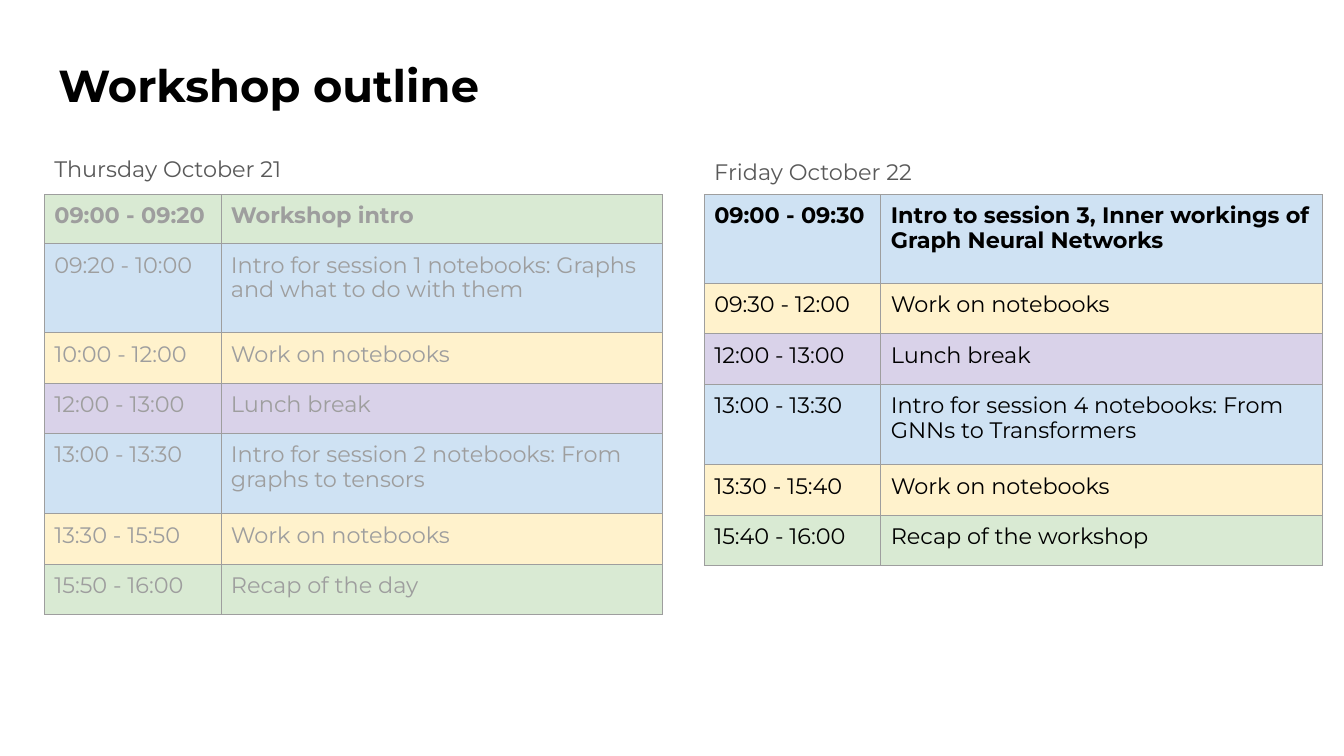
from dataclasses import dataclass

from lxml import etree
from pptx import Presentation
from pptx.dml.color import RGBColor
from pptx.enum.text import MSO_ANCHOR
from pptx.oxml.ns import qn
from pptx.slide import Slide
from pptx.table import _Cell
from pptx.text.text import TextFrame
from pptx.util import Cm, Pt

TOP = MSO_ANCHOR.TOP
MIDDLE = MSO_ANCHOR.MIDDLE
BLANK_LAYOUT = 6


@dataclass(frozen=True)
class Theme:
    font: str = "Montserrat"
    title_size: int = 32
    body_size: int = 16
    ink: str = "000000"
    past: str = "9E9E9E"
    subtitle: str = "595959"
    border: str = "9E9E9E"
    border_width: float = 0.75
    framing: str = "D9EAD3"
    lecture: str = "CFE2F3"
    practice: str = "FFF2CC"
    pause: str = "D9D2E9"


THEME = Theme()


@dataclass(frozen=True)
class Box:
    left: float
    top: float
    width: float
    height: float


@dataclass(frozen=True)
class Session:
    time: str
    topic: str
    fill: str
    height: float = 1.27


@dataclass(frozen=True)
class Day:
    name: str
    heading: Box
    heading_spacing: float
    color: str
    sessions: tuple[Session, ...]


TITLE_BOX = Box(1.14, 1.12, 31.55, 2.11)
TITLE_INSET = 0.33
CELL_INSET = 0.25
TABLE_TOP = 4.9
COLUMN_WIDTHS = (4.45, 11.12)
TABLE_WIDTH = sum(COLUMN_WIDTHS)
TALL_ROW = 2.03
TALLEST_ROW = 2.24

DAYS = (
    Day("Thursday October 21", Box(1.12, 3.71, TABLE_WIDTH, 1.17), 0.9, THEME.past, (
        Session("09:00 - 09:20", "Workshop intro", THEME.framing, 1.24),
        Session("09:20 - 10:00",
                "Intro for session 1 notebooks: Graphs and what to do with them",
                THEME.lecture, TALLEST_ROW),
        Session("10:00 - 12:00", "Work on notebooks", THEME.practice),
        Session("12:00 - 13:00", "Lunch break", THEME.pause),
        Session("13:00 - 13:30",
                "Intro for session 2 notebooks: From graphs to tensors",
                THEME.lecture, TALL_ROW),
        Session("13:30 - 15:50", "Work on notebooks", THEME.practice),
        Session("15:50 - 16:00", "Recap of the day", THEME.framing),
    )),
    Day("Friday October 22", Box(17.75, 3.73, TABLE_WIDTH, 1.17), 1.0, THEME.ink, (
        Session("09:00 - 09:30",
                "Intro to session 3, Inner workings of Graph Neural Networks",
                THEME.lecture, TALLEST_ROW),
        Session("09:30 - 12:00", "Work on notebooks", THEME.practice),
        Session("12:00 - 13:00", "Lunch break", THEME.pause),
        Session("13:00 - 13:30",
                "Intro for session 4 notebooks: From GNNs to Transformers",
                THEME.lecture, TALL_ROW),
        Session("13:30 - 15:40", "Work on notebooks", THEME.practice),
        Session("15:40 - 16:00", "Recap of the workshop", THEME.framing),
    )),
)


def write(frame: TextFrame, text: str, size: int, color: str,
          bold: bool = False, spacing: float = 1.0) -> None:
    para = frame.paragraphs[0]
    para.line_spacing = spacing
    span = para.add_run()
    span.text = text
    span.font.name = THEME.font
    span.font.size = Pt(size)
    span.font.bold = bold
    span.font.color.rgb = RGBColor.from_string(color)


def add_text_frame(page: Slide, box: Box, insets: tuple[float, float, float, float],
                   anchor: MSO_ANCHOR) -> TextFrame:
    """Add a wrapping text box; insets run left, top, right, bottom."""
    frame = page.shapes.add_textbox(
        Cm(box.left), Cm(box.top), Cm(box.width), Cm(box.height)).text_frame
    frame.word_wrap = True
    frame.vertical_anchor = anchor
    frame.margin_left, frame.margin_top, frame.margin_right, frame.margin_bottom = (
        Cm(inset) for inset in insets)
    return frame


def add_borders(cell: _Cell) -> None:
    """Line all four sides; the lines must come before the fill in the XML."""
    properties = cell._tc.get_or_add_tcPr()
    for position, side in enumerate(("lnL", "lnR", "lnT", "lnB")):
        line = etree.Element(qn(f"a:{side}"), w=str(Pt(THEME.border_width)))
        fill = etree.SubElement(line, qn("a:solidFill"))
        etree.SubElement(fill, qn("a:srgbClr"), val=THEME.border)
        properties.insert(position, line)


def fill_cell(cell: _Cell, text: str, fill: str, color: str, bold: bool) -> None:
    cell.margin_left = cell.margin_right = Cm(CELL_INSET)
    cell.margin_top = cell.margin_bottom = Cm(CELL_INSET)
    cell.vertical_anchor = TOP
    cell.fill.solid()
    cell.fill.fore_color.rgb = RGBColor.from_string(fill)
    add_borders(cell)
    write(cell.text_frame, text, THEME.body_size, color, bold, spacing=0.9)


def add_day(page: Slide, day: Day) -> None:
    heading = add_text_frame(page, day.heading, (CELL_INSET, 0, 0, 0), MIDDLE)
    write(heading, day.name, THEME.body_size, THEME.subtitle,
          spacing=day.heading_spacing)

    total_height = sum(session.height for session in day.sessions)
    table = page.shapes.add_table(
        len(day.sessions), len(COLUMN_WIDTHS), Cm(day.heading.left), Cm(TABLE_TOP),
        Cm(TABLE_WIDTH), Cm(total_height)).table
    table.first_row = False
    table.horz_banding = False
    for column, width in zip(table.columns, COLUMN_WIDTHS):
        column.width = Cm(width)
    for index, session in enumerate(day.sessions):
        row = table.rows[index]
        row.height = Cm(session.height)
        for cell, text in zip(row.cells, (session.time, session.topic)):
            fill_cell(cell, text, session.fill, day.color, bold=index == 0)


def main() -> None:
    deck = Presentation()
    deck.slide_width = Cm(33.87)
    deck.slide_height = Cm(19.05)
    page = deck.slides.add_slide(deck.slide_layouts[BLANK_LAYOUT])
    for day in DAYS:
        add_day(page, day)
    title = add_text_frame(page, TITLE_BOX, (TITLE_INSET,) * 4, TOP)
    write(title, "Workshop outline", THEME.title_size, THEME.ink, bold=True)
    deck.save("out.pptx")


if __name__ == "__main__":
    main()
